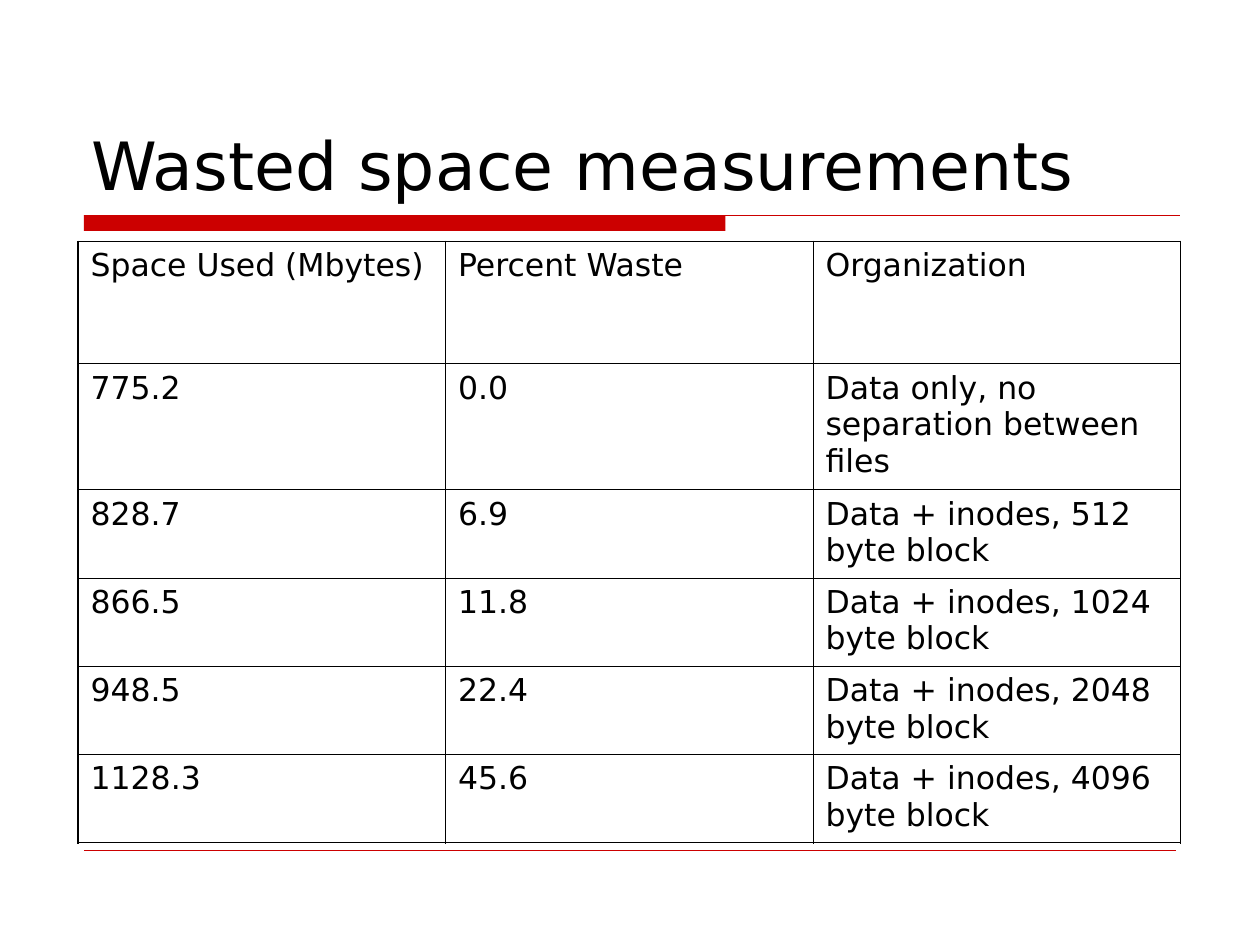
from lxml.etree import SubElement
from pptx import Presentation
from pptx.dml.color import RGBColor
from pptx.enum.shapes import MSO_CONNECTOR, MSO_SHAPE
from pptx.enum.text import MSO_ANCHOR
from pptx.oxml import parse_xml
from pptx.oxml.ns import nsdecls, qn
from pptx.util import Pt

FONT = "DejaVu Sans"
BLACK = "000000"
RED = "CC0000"
OUTER_BORDER, INNER_BORDER = 1.08, 0.45

ROWS = [
    ("Space Used (Mbytes)", "Percent Waste", "Organization"),
    ("775.2", "0.0", "Data only, no separation between files"),
    ("828.7", "6.9", "Data + inodes, 512 byte block"),
    ("866.5", "11.8", "Data + inodes, 1024 byte block"),
    ("948.5", "22.4", "Data + inodes, 2048 byte block"),
    ("1128.3", "45.6", "Data + inodes, 4096 byte block"),
]
ROW_HEIGHTS = [69.8, 72] + [50.4] * 4


def color(value):
    return RGBColor.from_string(value)


def style_text(paragraph, size):
    for run in paragraph.runs:
        run.font.name = FONT
        run.font.size = Pt(size)
        run.font.color.rgb = color(BLACK)


def add_rule(slide, left, top, width, weight):
    rule = slide.shapes.add_connector(
        MSO_CONNECTOR.STRAIGHT, Pt(left), Pt(top), Pt(left + width), Pt(top))
    rule.line.color.rgb = color(RED)
    rule.line.width = Pt(weight)
    SubElement(rule._element.spPr, qn("a:effectLst"))


def add_title(slide, left, top, width, height):
    box = slide.shapes.add_textbox(Pt(left), Pt(top), Pt(width), Pt(height))
    text_frame = box.text_frame
    text_frame.word_wrap = True
    text_frame.vertical_anchor = MSO_ANCHOR.BOTTOM
    text_frame.text = "Wasted space measurements"
    style_text(text_frame.paragraphs[0], 38)


def add_title_bar(slide, left, top, width, height):
    # Thick bar over part of the width, thin rule over all of it
    bar = slide.shapes.add_shape(
        MSO_SHAPE.RECTANGLE, Pt(left), Pt(top), Pt(width * 0.585), Pt(height))
    bar.shadow.inherit = False
    bar.fill.solid()
    bar.fill.fore_color.rgb = color(RED)
    bar.line.fill.background()
    add_rule(slide, left, top, width, 0.75)


def set_borders(cell, weights):
    properties = cell._tc.get_or_add_tcPr()
    for index, (side, weight) in enumerate(weights.items()):
        border = parse_xml(
            f'<a:ln{side} {nsdecls("a")} w="{Pt(weight)}"><a:solidFill>'
            f'<a:srgbClr val="{BLACK}"/></a:solidFill></a:ln{side}>')
        properties.insert(index, border)


def add_measurements(slide, left, top, width, height):
    row_count, column_count = len(ROWS), len(ROWS[0])
    table = slide.shapes.add_table(
        row_count, column_count, Pt(left), Pt(top), Pt(width), Pt(height)).table
    table.first_row = False
    table.horz_banding = False
    for column in table.columns:
        column.width = Pt(width / column_count)
    for row, row_height in zip(table.rows, ROW_HEIGHTS):
        row.height = Pt(row_height)

    for row_index, values in enumerate(ROWS):
        for column_index, value in enumerate(values):
            cell = table.cell(row_index, column_index)
            cell.fill.background()
            cell.text_frame.text = value
            style_text(cell.text_frame.paragraphs[0], 18)
            # The table edge is heavier than the inner grid
            on_edge = {
                "L": column_index == 0,
                "R": column_index == column_count - 1,
                "T": row_index == 0,
                "B": row_index == row_count - 1,
            }
            set_borders(cell, {side: OUTER_BORDER if edge else INNER_BORDER
                               for side, edge in on_edge.items()})


def main():
    presentation = Presentation()
    presentation.slide_width = Pt(720)
    presentation.slide_height = Pt(540)
    slide = presentation.slides.add_slide(presentation.slide_layouts[6])

    # Title and red decoration
    add_title_bar(slide, 48, 123, 626.5, 9)
    add_rule(slide, 48, 486, 624, 0.25)
    add_title(slide, 45, 24, 630, 96)

    # Table of measurements
    add_measurements(slide, 44.6, 138, 630, sum(ROW_HEIGHTS))

    presentation.save("out.pptx")


if __name__ == "__main__":
    main()
